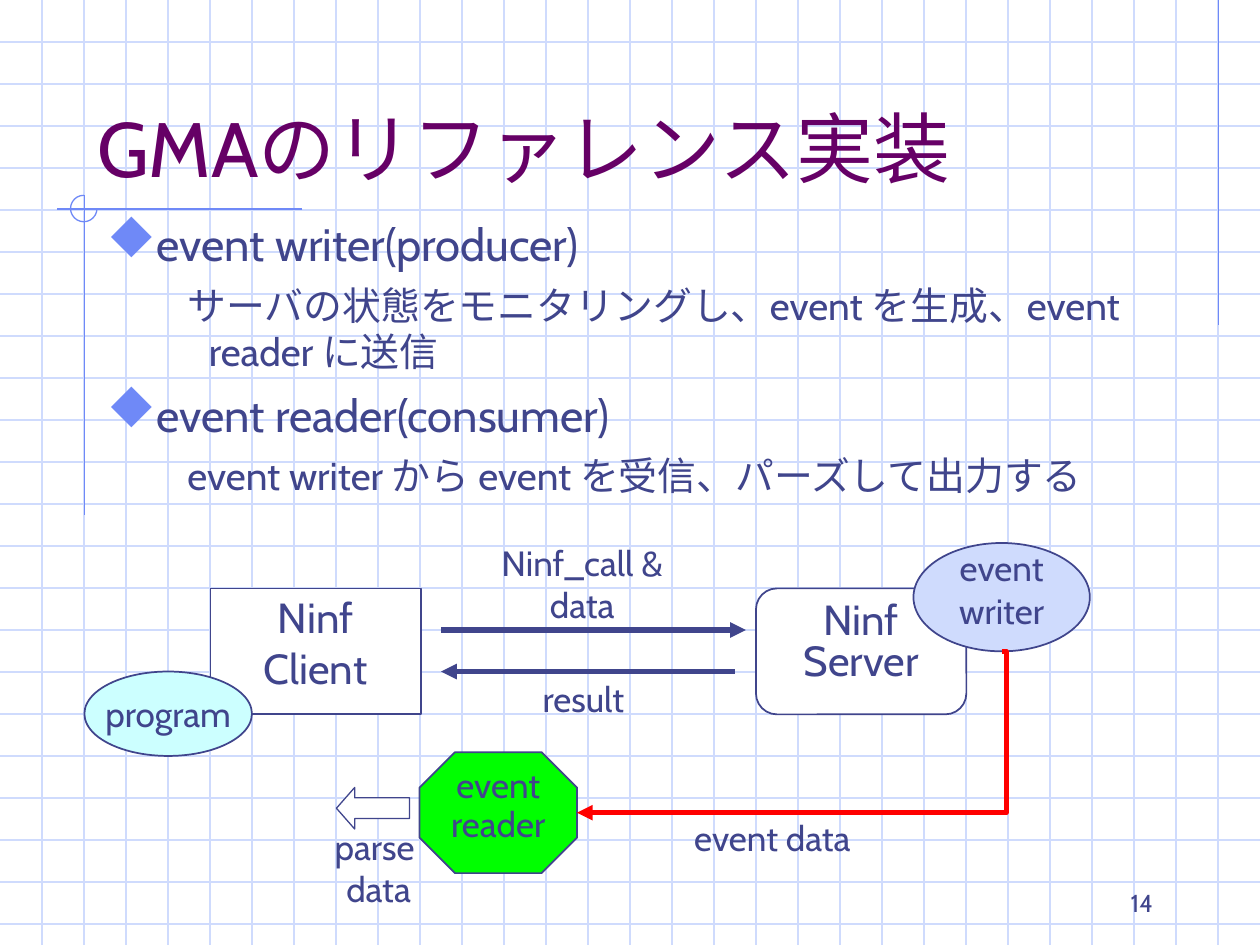
import pptx
import pptx.util
import pptx.dml.color
import pptx.enum.shapes
import pptx.enum.text
import pptx.oxml.ns
from lxml import etree

Inches = pptx.util.Inches
Pt = pptx.util.Pt
KIND = pptx.enum.shapes.MSO_SHAPE
LINK = pptx.enum.shapes.MSO_CONNECTOR
ALIGN = pptx.enum.text.PP_ALIGN
ANCHOR = pptx.enum.text.MSO_ANCHOR
qn = pptx.oxml.ns.qn

FONT = "Cabin"
STEP = 1 / 3
HUES = {
    "grid": "CFDBFD", "rule": "6F89F7", "title": "660066", "ink": "40458C",
    "white": "FFFFFF", "green": "00FF00", "cyan": "CCFFFF", "red": "FF0000",
}
TITLE = "GMAのリファレンス実装"
BODY = [
    ("event writer(producer)", "サーバの状態をモニタリングし、event を生成、event reader に送信"),
    ("event reader(consumer)", "event writer から event を受信、パーズして出力する"),
]
RULES = [(9.67, 0, 9.67, 2.58), (2.4, 1.66, 0.45, 1.66), (0.67, 1.55, 0.67, 4.09)]
NODES = [
    (KIND.RECTANGLE, (1.67, 4.67, 1.67, 1), "white", ["Ninf", "Client"], 24, 0.5, False),
    (KIND.ROUNDED_RECTANGLE, (6, 4.67, 1.67, 1), "white", ["Ninf", "Server"], 24, 0.3, False),
    (KIND.OVAL, (7.25, 4.31, 1.4, 0.86), "grid", ["event", "writer"], 20, 0.5, True),
    (KIND.OCTAGON, (3.33, 5.97, 1.25, 0.96), "green", ["event", "reader"], 20, 0.4, True),
    (KIND.OVAL, (0.67, 5.33, 1.33, 0.67), "cyan", ["program"], 20, 1, False),
]
FLOWS = [(3.5, 5, 5.92, 5), (5.83, 5.33, 3.5, 5.33)]
LABELS = [
    ((3.83, 4.25, 1.58, 0.77), ["Ninf_call & data"]),
    ((4.92, 6.43, 2.42, 0.44), ["event data"]),
    ((3.92, 5.33, 1.42, 0.44), ["result"]),
    ((2.42, 6.5, 1.17, 0.74), ["parse ", "data"]),
]


def hue(name):
    return pptx.dml.color.RGBColor.from_string(HUES[name])


def style(para, size, color="ink"):
    para.font.name = FONT
    para.font.size = Pt(size)
    para.font.bold = False
    para.font.color.rgb = hue(color)


def write(frame, lines, size, gaps=(1, 1), align=ALIGN.CENTER):
    for i, line in enumerate(lines):
        para = frame.paragraphs[0] if i == 0 else frame.add_paragraph()
        para.text = line
        para.alignment = align
        para.line_spacing = gaps[min(i, 1)]
        if i:
            para.space_before = Pt(size * 0.625)
        style(para, size)


def draw(shapes, ends, color, width, kind=LINK.STRAIGHT, arrow=False):
    line = shapes.add_connector(kind, *map(Inches, ends))
    line.line.color.rgb = hue(color)
    line.line.width = Pt(width)
    props = line.element.spPr
    if arrow:
        etree.SubElement(props.find(qn("a:ln")), qn("a:tailEnd"), type="triangle")
    etree.SubElement(props, qn("a:effectLst"))
    return line


def block(shapes, kind, spot, fill, width=1):
    shape = shapes.add_shape(kind, *map(Inches, spot))
    shape.shadow.inherit = False
    if fill:
        shape.fill.solid()
        shape.fill.fore_color.rgb = hue(fill)
    else:
        shape.fill.background()
    shape.line.color.rgb = hue("ink" if fill else "rule")
    shape.line.width = Pt(width)
    return shape


def label(shapes, spot):
    box = shapes.add_textbox(*map(Inches, spot))
    box.text_frame.word_wrap = True
    return box.text_frame


def indent(para, left, first, bullet=False):
    props = para._p.get_or_add_pPr()
    props.set("marL", str(Inches(left)))
    props.set("indent", str(Inches(first)))
    if bullet:
        color = etree.SubElement(props, qn("a:buClr"))
        etree.SubElement(color, qn("a:srgbClr"), val=HUES["rule"])
        etree.SubElement(props, qn("a:buSzPct"), val="110000")
        etree.SubElement(props, qn("a:buFont"), typeface="Wingdings", charset="2")
        etree.SubElement(props, qn("a:buChar"), char="u")


def backdrop(shapes):
    for i in range(1, 23):
        draw(shapes, (0, i * STEP, 10, i * STEP), "grid", 0.75)
    for i in range(1, 30):
        draw(shapes, (i * STEP, 0, i * STEP, 7.5), "grid", 0.75)
    for ends in RULES:
        draw(shapes, ends, "rule", 0.75)
    arc = block(shapes, KIND.ARC, (0.56, 1.55, 0.21, 0.21), None, 0.75)
    arc.adjustments[0] = 0
    arc.adjustments[1] = 162


def heading(shapes):
    title = shapes.title
    title.element.getparent().append(title.element)
    title.left, title.top, title.width, title.height = map(Inches, (0.67, 0.33, 8.92, 1.25))
    frame = title.text_frame
    frame.text = TITLE
    frame.auto_size = pptx.enum.text.MSO_AUTO_SIZE.NONE
    frame.vertical_anchor = ANCHOR.BOTTOM
    frame.paragraphs[0].alignment = ALIGN.LEFT
    style(frame.paragraphs[0], 44, "title")


def points(shapes):
    frame = label(shapes, (0.75, 1.67, 8.67, 2.5))
    for i, (head, note) in enumerate(BODY):
        para = frame.add_paragraph() if i else frame.paragraphs[0]
        para.text = head
        if i:
            para.space_before = Pt(7)
        indent(para, 0.38, -0.38, True)
        style(para, 25.9)
        para = frame.add_paragraph()
        para.text = note
        para.level = 1
        para.space_before = Pt(6)
        indent(para, 0.81, -0.17)
        style(para, 22.2)


def diagram(shapes):
    for kind, spot, fill, lines, size, gap, wrap in NODES:
        frame = block(shapes, kind, spot, fill).text_frame
        frame.word_wrap = wrap
        frame.vertical_anchor = ANCHOR.MIDDLE
        write(frame, lines, size, (gap, gap))
    for ends in FLOWS:
        draw(shapes, ends, "ink", 3, arrow=True)
    bend = draw(shapes, (7.95, 5.17, 4.58, 6.45), "red", 3, LINK.ELBOW, True)
    geom = bend.element.spPr.find(qn("a:prstGeom"))
    guides = geom.find(qn("a:avLst"))
    etree.SubElement(guides, qn("a:gd"), name="adj1", fmla="val -1100")
    for spot, lines in LABELS:
        write(label(shapes, spot), lines, 20, (1, 0.4))
    arrow = block(shapes, KIND.LEFT_ARROW, (2.67, 6.25, 0.58, 0.33), "white", 0.75)
    arrow.adjustments[1] = 0.44


def main():
    deck = pptx.Presentation()
    deck.slide_width, deck.slide_height = Inches(10), Inches(7.5)
    shapes = deck.slides.add_slide(deck.slide_layouts[5]).shapes
    backdrop(shapes)
    heading(shapes)
    points(shapes)
    diagram(shapes)
    frame = label(shapes, (7.17, 6.83, 2.08, 0.5))
    frame.vertical_anchor = ANCHOR.BOTTOM
    write(frame, ["14"], 14, align=ALIGN.RIGHT)
    deck.save("out.pptx")


if __name__ == "__main__":
    main()
